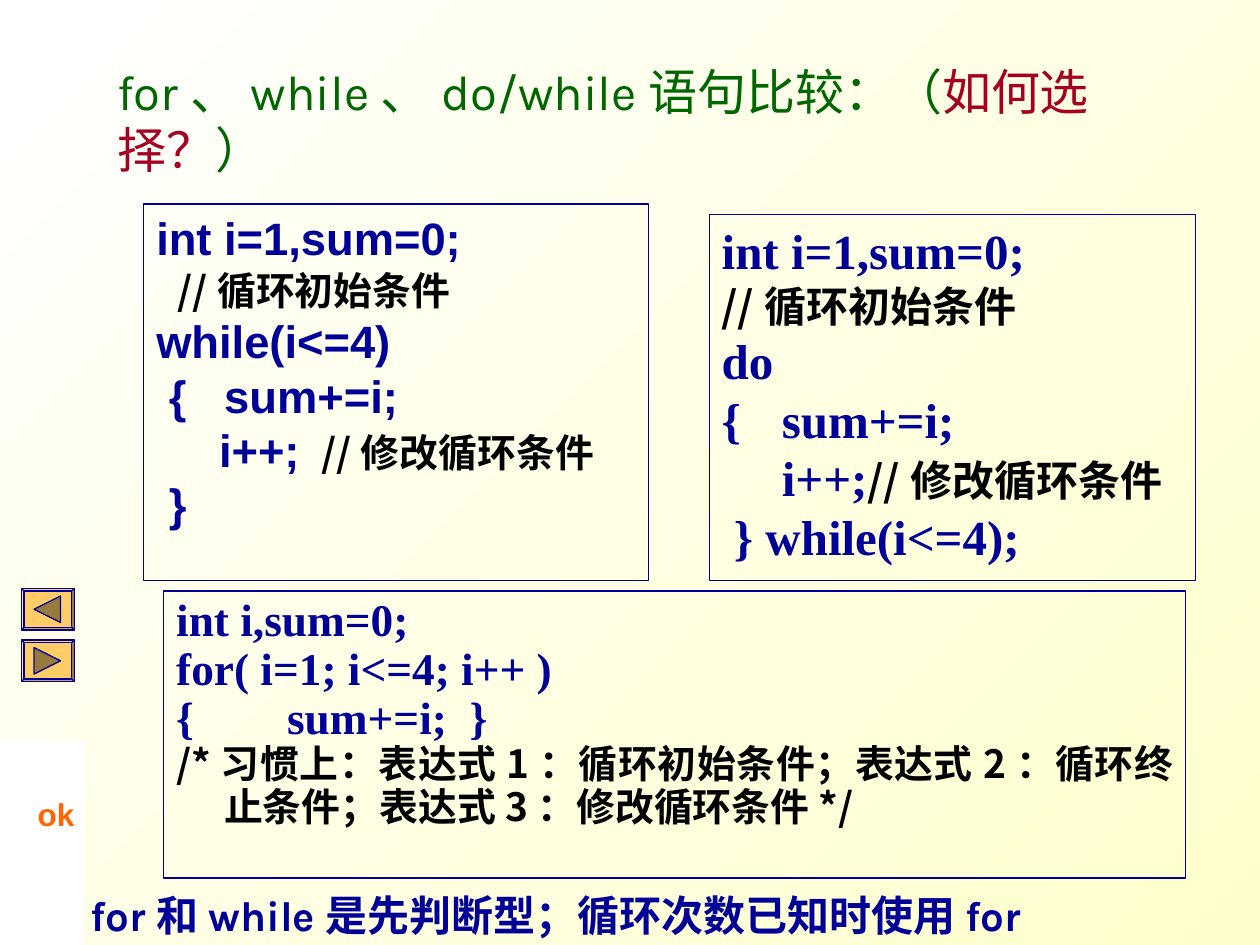
from dataclasses import dataclass

from lxml.etree import SubElement
from pptx import Presentation
from pptx.dml.color import RGBColor
from pptx.enum.shapes import MSO_SHAPE
from pptx.enum.text import MSO_ANCHOR, MSO_AUTO_SIZE, PP_ALIGN
from pptx.oxml.ns import qn
from pptx.util import Inches, Pt

NAVY = RGBColor(0x00, 0x00, 0x99)
GREEN = RGBColor(0x00, 0x66, 0x00)
CRIMSON = RGBColor(0xA5, 0x00, 0x21)
ORANGE = RGBColor(0xFF, 0x66, 0x00)
GOLD = RGBColor(0xFF, 0xCC, 0x66)
BRONZE = RGBColor(0x99, 0x7A, 0x3D)
CREAM = RGBColor(0xFF, 0xFF, 0xCC)
WHITE = RGBColor(0xFF, 0xFF, 0xFF)
BLACK = RGBColor(0x00, 0x00, 0x00)

WIDTH, HEIGHT = Inches(10), Inches(7.5)
CHINESE = "Noto Sans CJK SC"
HANGING = Inches(0.38)


@dataclass
class Style:
    """Look of a stretch of text."""
    name: str
    size: float
    color: RGBColor
    bold: bool = True


def area(left, top, width, height):
    """Turn percentages of the slide into left, top, width and height."""
    return (int(WIDTH * left / 100), int(HEIGHT * top / 100),
            int(WIDTH * width / 100), int(HEIGHT * height / 100))


def move(shape, place):
    """Put a placeholder at a place."""
    shape.left, shape.top, shape.width, shape.height = place


def apply_style(font, style):
    """Give a font its style for Latin and Chinese letters."""
    font.size = Pt(style.size)
    font.bold = style.bold
    font.color.rgb = style.color
    font.name = style.name
    SubElement(font._element, qn("a:ea")).set("typeface", CHINESE)


def write_spans(para, spans):
    """Fill a paragraph with (text, style) spans."""
    if len(spans) == 1:
        apply_style(para.font, spans[0][1])
    for text, style in spans:
        span = para.add_run()
        span.text = text
        if len(spans) > 1:
            apply_style(span.font, style)


def prepare_frame(shape, anchor=MSO_ANCHOR.TOP):
    """Return a wrapping text frame of fixed size."""
    frame = shape.text_frame
    frame.word_wrap = True
    frame.auto_size = MSO_AUTO_SIZE.NONE
    frame.vertical_anchor = anchor
    return frame


def write_line(shape, spans, pitch, anchor=MSO_ANCHOR.TOP):
    """Write one left-aligned paragraph."""
    para = prepare_frame(shape, anchor).paragraphs[0]
    para.alignment = PP_ALIGN.LEFT
    para.line_spacing = Pt(pitch)
    write_spans(para, spans)


def write_code(box, lines, code_pitch, comment_pitch):
    """Write a listing with hanging indents into an outlined box."""
    box.line.color.rgb = NAVY
    box.line.width = Pt(0.75)
    frame = prepare_frame(box)
    for index, spans in enumerate(lines):
        para = frame.add_paragraph() if index else frame.paragraphs[0]
        is_comment = all(style.color == BLACK for _, style in spans)
        para.alignment = PP_ALIGN.JUSTIFY
        para.line_spacing = Pt(comment_pitch if is_comment else code_pitch)
        para.space_before = Pt(0)
        properties = para._p.get_or_add_pPr()
        properties.set("marL", str(HANGING))
        properties.set("indent", str(-HANGING))
        SubElement(properties, qn("a:buNone"))
        write_spans(para, spans)


def add_plain_shape(slide, kind, place, fill=None, line=None):
    """Add a shadowless shape with optional fill and line."""
    shape = slide.shapes.add_shape(kind, *place)
    shape.shadow.inherit = False
    if fill is None:
        shape.fill.background()
    else:
        shape.fill.solid()
        shape.fill.fore_color.rgb = fill
    if line is None:
        shape.line.fill.background()
    else:
        shape.line.color.rgb = line
        shape.line.width = Pt(0.75)
    return shape


def add_button(slide, top, rotation):
    """Add a bevelled navigation button with a turned triangle."""
    bevel = add_plain_shape(slide, MSO_SHAPE.BEVEL, area(1.7, top, 4.2, 4.4), GOLD, NAVY)
    bevel.adjustments[0] = 0.06
    arrow = add_plain_shape(slide, MSO_SHAPE.ISOSCELES_TRIANGLE,
                            area(2.7, top + 0.8, 2.1, 2.8), BRONZE, NAVY)
    arrow.rotation = rotation


def paint_background(slide):
    """Fill the background with a diagonal cream gradient."""
    fill = slide.background.fill
    fill.gradient()
    fill.gradient_angle = 315
    for stop, color in zip(fill.gradient_stops, (WHITE, CREAM)):
        stop.color.rgb = color


def add_title(slide):
    """Write the two-coloured title."""
    green = Style("Karla", 28, GREEN, False)
    crimson = Style("Karla", 28, CRIMSON, False)
    title = slide.shapes.title
    move(title, area(8.3, 6.93, 87.4, 11.6))
    write_line(title, [("for、while、do/while语句比较：（", green), ("如何选择？", crimson),
                       ("）", green)], 33, MSO_ANCHOR.MIDDLE)


def add_listings(slide):
    """Write the while, do/while and for listings."""
    arial = Style("Arial", 25.9, NAVY)
    times = Style("Times New Roman", 28, NAVY)
    small_times = Style("Times New Roman", 25.9, NAVY)
    note = Style(CHINESE, 22.2, BLACK)
    large_note = Style(CHINESE, 24, BLACK)

    while_box = slide.placeholders[1]
    move(while_box, area(11.4, 21.6, 40.1, 39.87))
    write_code(while_box, [
        [("int i=1,sum=0;", arial)],
        [("  ", Style("Arial", 22.2, BLACK)), ("//循环初始条件", note)],
        [("while(i<=4)", arial)],
        [(" {   sum+=i;", arial)],
        [("     i++;", arial), ("  ", Style("Arial", 22.2, NAVY)), ("//修改循环条件", note)],
        [(" }", arial)],
    ], 31, 28)

    do_box = add_plain_shape(slide, MSO_SHAPE.RECTANGLE, area(56.3, 22.67, 38.6, 38.8))
    write_code(do_box, [
        [("int i=1,sum=0;", times)],
        [("//循环初始条件", large_note)],
        [("do", times)],
        [("{\t sum+=i;", times)],
        [("\t i++;", times), ("//修改循环条件", large_note)],
        [(" } while(i<=4);", times)],
    ], 33.4, 30)

    for_box = add_plain_shape(slide, MSO_SHAPE.RECTANGLE, area(13, 62.53, 81.1, 30.4))
    write_code(for_box, [
        [("int i,sum=0;", small_times)],
        [("for( i=1; i<=4; i++ )", small_times)],
        [("{  \t\tsum+=i;  }", small_times)],
        [("/*习惯上：表达式1：循环初始条件；表达式2：循环终止条件；表达式3：修改循环条件*/", note)],
    ], 27.9, 24.5)


def main():
    """Build the loop comparison slide."""
    deck = Presentation()
    deck.slide_width, deck.slide_height = WIDTH, HEIGHT
    page = deck.slides.add_slide(deck.slide_layouts[1])
    paint_background(page)
    add_button(page, 62.27, -90)
    add_button(page, 67.73, 90)
    add_title(page)
    add_listings(page)
    add_plain_shape(page, MSO_SHAPE.RECTANGLE, area(0, 78.4, 6.7, 21.6), WHITE)
    ok_box = page.shapes.add_textbox(*area(2, 83.6, 5.5, 5.33))
    write_line(ok_box, [("ok", Style("Arial", 18, ORANGE))], 21)
    summary = page.shapes.add_textbox(*area(6.2, 93.2, 77.3, 6.67))
    write_line(summary, [("for和while是先判断型；循环次数已知时使用for", Style("Karla", 24, NAVY))], 30)
    deck.save("out.pptx")


if __name__ == "__main__":
    main()
